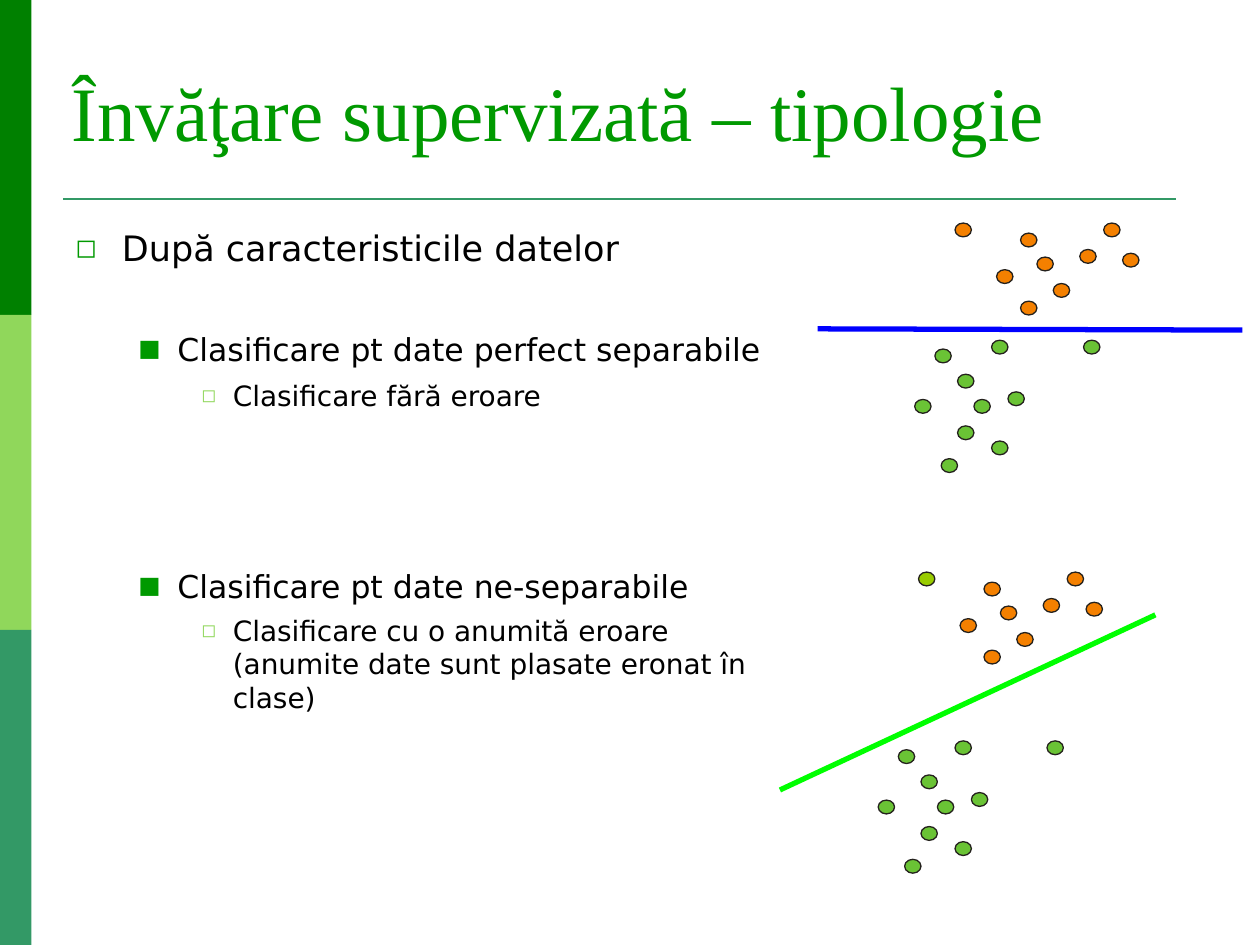
from collections import namedtuple
from dataclasses import dataclass

from lxml import etree
from pptx import Presentation
from pptx.dml.color import RGBColor
from pptx.enum.shapes import MSO_CONNECTOR, MSO_SHAPE
from pptx.enum.text import MSO_ANCHOR
from pptx.oxml.ns import qn
from pptx.util import Inches, Pt

RECTANGLE = MSO_SHAPE.RECTANGLE
OVAL = MSO_SHAPE.OVAL
STRAIGHT = MSO_CONNECTOR.STRAIGHT
MIDDLE = MSO_ANCHOR.MIDDLE

Box = namedtuple("Box", "left top width height")
Level = namedtuple("Level", "margin hanging size bullet bullet_color bullet_percent")


@dataclass(frozen=True)
class Theme:
    title_font: str = "Times New Roman"
    body_font: str = "DejaVu Sans"
    title_size: int = 44
    title: str = "009900"
    text: str = "000000"
    bands: tuple = ("008000", "90D75B", "339966")
    rule: str = "339966"
    outline: str = "24211D"
    orange_dot: str = "F48000"
    green_dot: str = "6AC335"
    misplaced_dot: str = "99CC00"
    separable_line: str = "0000FF"
    error_line: str = "00FF00"


THEME = Theme()
LEVELS = (
    Level(0.37, 0.37, 20, "◻", "009900", 75),
    Level(0.81, 0.31, 18, "■", "009900", 75),
    Level(1.25, 0.25, 16, "◻", "90D75B", 65),
)
OUTLINE = (
    (0, 0, "După caracteristicile datelor"),
    (1, 35, "Clasificare pt date perfect separabile"),
    (2, 6, "Clasificare fără eroare"),
    (1, 88.5, "Clasificare pt date ne-separabile"),
    (2, 5, "Clasificare cu o anumită eroare (anumite date sunt plasate eronat în clase)"),
)
DOT_WIDTH, DOT_HEIGHT = 0.13, 0.11
ORANGE_POINTS = (
    (0.33, 0.37), (0.52, 0.08), (0.65, 0.27), (0.52, 0.62),
    (0.78, 0.48), (1.33, 0.24), (1.18, 0), (0.99, 0.21),
)
OUTLIER_POINT = (0, 0)
GREEN_POINTS = (
    (0.34, 0.68), (0.34, 0.27), (0.74, 0.41), (0.61, 0), (1.34, 0),
    (0.21, 0.94), (0.61, 0.8), (0.16, 0.07), (0.47, 0.47), (0, 0.47),
)


def color(value):
    return RGBColor.from_string(value)


def add_filled(slide, preset, box, fill):
    shape = slide.shapes.add_shape(preset, *map(Inches, box))
    shape.shadow.inherit = False
    shape.fill.solid()
    shape.fill.fore_color.rgb = color(fill)
    shape.line.fill.background()
    return shape


def add_line(slide, start, end, stroke, width):
    connector = slide.shapes.add_connector(STRAIGHT, *map(Inches, (*start, *end)))
    connector.line.color.rgb = color(stroke)
    connector.line.width = Pt(width)
    etree.SubElement(connector._element.spPr, qn("a:effectLst"))


def add_text_frame(slide, box):
    text_frame = slide.shapes.add_textbox(*map(Inches, box)).text_frame
    text_frame.word_wrap = True
    return text_frame


def style_text(paragraph, font, size, fill):
    for run in paragraph.runs:
        run.font.name = font
        run.font.size = Pt(size)
        run.font.color.rgb = color(fill)


def add_bullet(paragraph, level):
    properties = paragraph._p.get_or_add_pPr()
    properties.set("marL", str(Inches(level.margin)))
    properties.set("indent", str(-Inches(level.hanging)))
    bullet_color = etree.SubElement(properties, qn("a:buClr"))
    etree.SubElement(bullet_color, qn("a:srgbClr"), val=level.bullet_color)
    etree.SubElement(properties, qn("a:buSzPct"), val=str(level.bullet_percent * 1000))
    etree.SubElement(properties, qn("a:buFont"), typeface=THEME.body_font)
    etree.SubElement(properties, qn("a:buChar"), char=level.bullet)


def draw_side_bands(slide, box):
    height = box.height / len(THEME.bands)
    for index, fill in enumerate(THEME.bands):
        band = Box(box.left, box.top + index * height, box.width, height)
        add_filled(slide, RECTANGLE, band, fill)


def draw_title(slide, box):
    text_frame = add_text_frame(slide, box)
    text_frame.vertical_anchor = MIDDLE
    text_frame.text = "Învăţare supervizată – tipologie"
    style_text(text_frame.paragraphs[0], THEME.title_font, THEME.title_size, THEME.title)
    add_line(slide, (0.5, 1.58), (9.33, 1.58), THEME.rule, 1.5)


def draw_outline(slide, box):
    text_frame = add_text_frame(slide, box)
    for index, (depth, space_before, text) in enumerate(OUTLINE):
        paragraph = text_frame.add_paragraph() if index else text_frame.paragraphs[0]
        level = LEVELS[depth]
        paragraph.text = text
        paragraph.level = depth
        add_bullet(paragraph, level)
        paragraph.space_before = Pt(space_before)
        style_text(paragraph, THEME.body_font, level.size, THEME.text)


def draw_dots(slide, left, top, points, fill):
    for x, y in points:
        dot = add_filled(slide, OVAL, Box(left + x, top + y, DOT_WIDTH, DOT_HEIGHT), fill)
        dot.line.color.rgb = color(THEME.outline)
        dot.line.width = Pt(0)


def draw_scatter(slide, box, outlier_fill, boundary, stroke):
    green_top = box.top + box.height - DOT_HEIGHT - max(y for _, y in GREEN_POINTS)
    orange_left = box.left + 0.32
    draw_dots(slide, box.left, green_top, GREEN_POINTS, THEME.green_dot)
    draw_dots(slide, orange_left, box.top, ORANGE_POINTS, THEME.orange_dot)
    draw_dots(slide, orange_left, box.top, (OUTLIER_POINT,), outlier_fill)
    start, end = ((box.left + x, box.top + y) for x, y in boundary)
    add_line(slide, start, end, stroke, 3)


def main():
    presentation = Presentation()
    presentation.slide_width = Inches(10)
    presentation.slide_height = Inches(7.5)
    slide = presentation.slides.add_slide(presentation.slide_layouts[6])
    draw_side_bands(slide, Box(0, 0, 0.25, 7.5))
    draw_title(slide, Box(0.47, 0.3, 9.41, 1.16))
    draw_outline(slide, Box(0.5, 1.75, 5.67, 5.54))
    draw_scatter(slide, Box(7.26, 1.77, 1.78, 1.98), THEME.orange_dot,
                 ((-0.77, 0.84), (2.6, 0.85)), THEME.separable_line)
    draw_scatter(slide, Box(6.97, 4.54, 1.78, 2.39), THEME.misplaced_dot,
                 ((-0.78, 1.73), (2.2, 0.34)), THEME.error_line)
    presentation.save("out.pptx")


if __name__ == "__main__":
    main()
